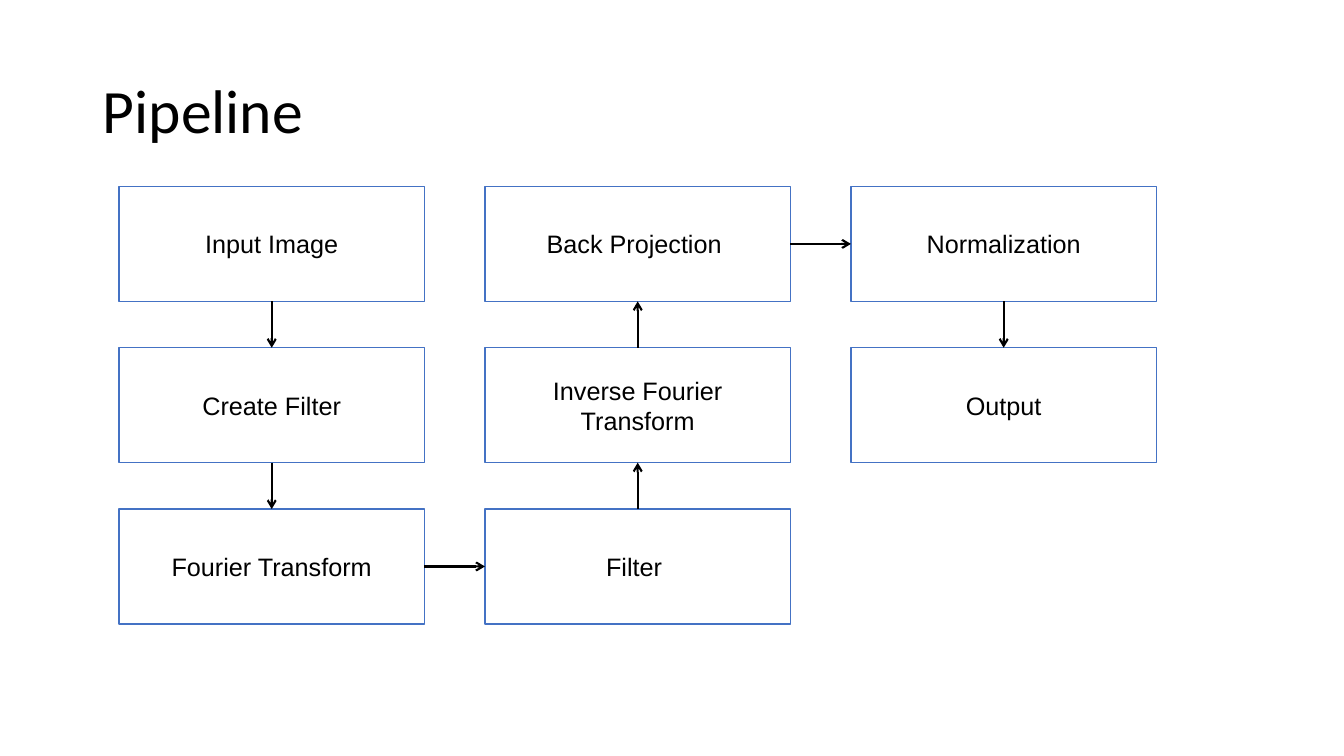
from itertools import pairwise

from lxml.etree import SubElement
from pptx import Presentation
from pptx.dml.color import RGBColor
from pptx.enum.shapes import MSO_CONNECTOR, MSO_SHAPE
from pptx.enum.text import MSO_ANCHOR, PP_ALIGN
from pptx.oxml.ns import qn
from pptx.util import Inches, Pt

BLACK, WHITE, BLUE = "000000", "FFFFFF", "4472C4"

# Grid of the flow chart, in inches
LEFT, TOP = 1.18, 1.85
BOX_W, BOX_H = 3.03, 1.14
STEP_X, STEP_Y = 3.63, 1.6

# Connection sites of a rectangle
SITE_TOP, SITE_LEFT, SITE_BOTTOM, SITE_RIGHT = range(4)

# Steps in flow order: label, column, row
STEPS = [
    ("Input Image", 0, 0),
    ("Create Filter", 0, 1),
    ("Fourier Transform", 0, 2),
    ("Filter ", 1, 2),
    ("Inverse Fourier Transform", 1, 1),
    ("Back Projection ", 1, 0),
    ("Normalization", 2, 0),
    ("Output", 2, 1),
]


def rgb(color):
    return RGBColor.from_string(color)


def write(tf, text, size=18, font="Arial", color=BLACK, align=PP_ALIGN.CENTER, spacing=1.0):
    tf.word_wrap = True
    tf.vertical_anchor = MSO_ANCHOR.MIDDLE
    p = tf.paragraphs[0]
    p.alignment = align
    p.line_spacing = spacing
    r = p.add_run()
    r.text = text
    r.font.size = Pt(size)
    r.font.name = font
    r.font.color.rgb = rgb(color)


def add_title(s, text):
    title = s.shapes.title
    title.left, title.top = Inches(0.92), Inches(0.4)
    title.width, title.height = Inches(11.5), Inches(1.45)
    write(title.text_frame, text, size=44, font="Calibri", align=PP_ALIGN.LEFT, spacing=0.9)


def add_box(s, text, col, row):
    sp = s.shapes.add_shape(
        MSO_SHAPE.RECTANGLE,
        Inches(LEFT + col * STEP_X), Inches(TOP + row * STEP_Y),
        Inches(BOX_W), Inches(BOX_H),
    )
    sp.shadow.inherit = False
    sp.fill.solid()
    sp.fill.fore_color.rgb = rgb(WHITE)
    sp.line.color.rgb = rgb(BLUE)
    sp.line.width = Pt(1)
    write(sp.text_frame, text)
    return sp


def add_arrow(s, start, end):
    """Join two neighbouring boxes on their facing sides."""
    if end.left > start.left:
        sites = SITE_RIGHT, SITE_LEFT
    elif end.top > start.top:
        sites = SITE_BOTTOM, SITE_TOP
    else:
        sites = SITE_TOP, SITE_BOTTOM
    arrow = s.shapes.add_connector(MSO_CONNECTOR.STRAIGHT, 0, 0, 0, 0)
    arrow.begin_connect(start, sites[0])
    arrow.end_connect(end, sites[1])
    arrow.line.color.rgb = rgb(BLACK)
    arrow.line.width = Pt(1.5)
    # Open arrowhead, no shadow
    SubElement(arrow.line._get_or_add_ln(), qn("a:tailEnd"), type="arrow")
    SubElement(arrow._element.spPr, qn("a:effectLst"))


def main():
    prs = Presentation()
    prs.slide_width, prs.slide_height = Inches(13.33), Inches(7.5)
    s = prs.slides.add_slide(prs.slide_layouts[5])

    add_title(s, "Pipeline")

    # Flow chart
    boxes = [add_box(s, *step) for step in STEPS]
    for start, end in pairwise(boxes):
        add_arrow(s, start, end)

    prs.save("out.pptx")


if __name__ == "__main__":
    main()
